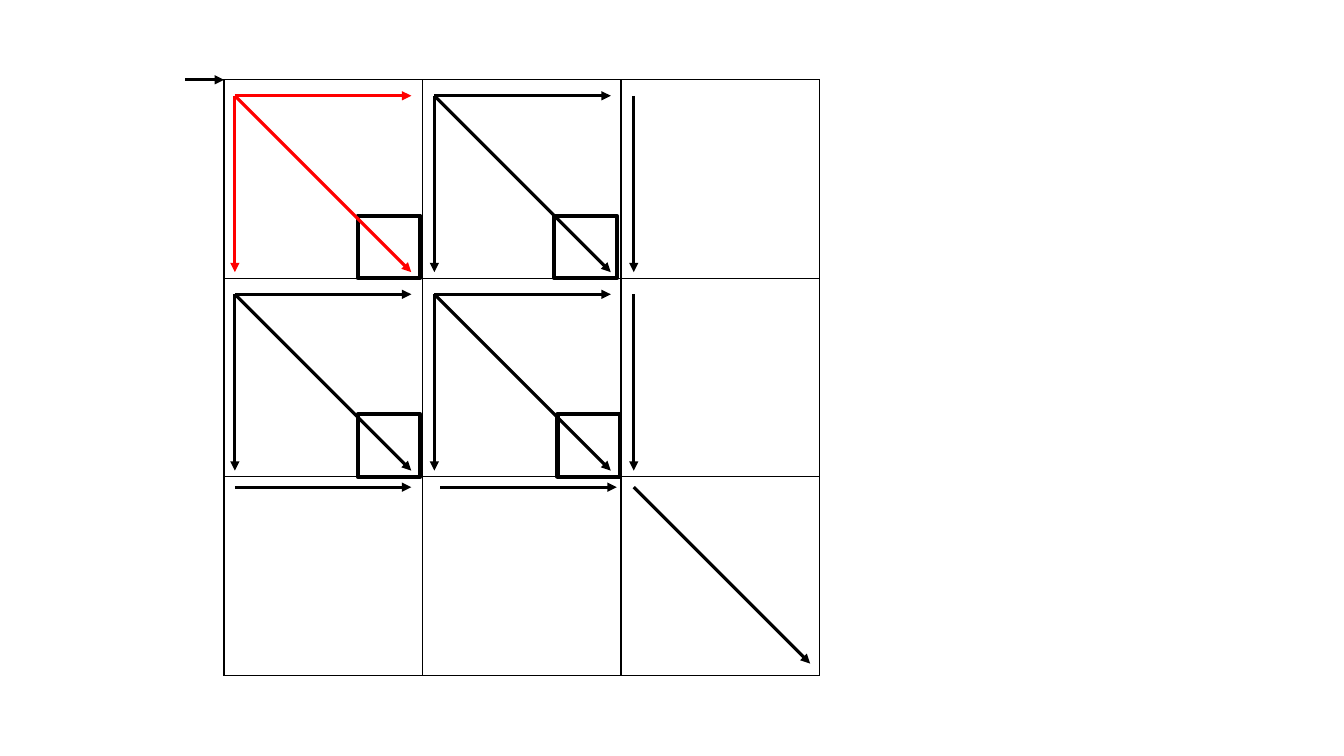
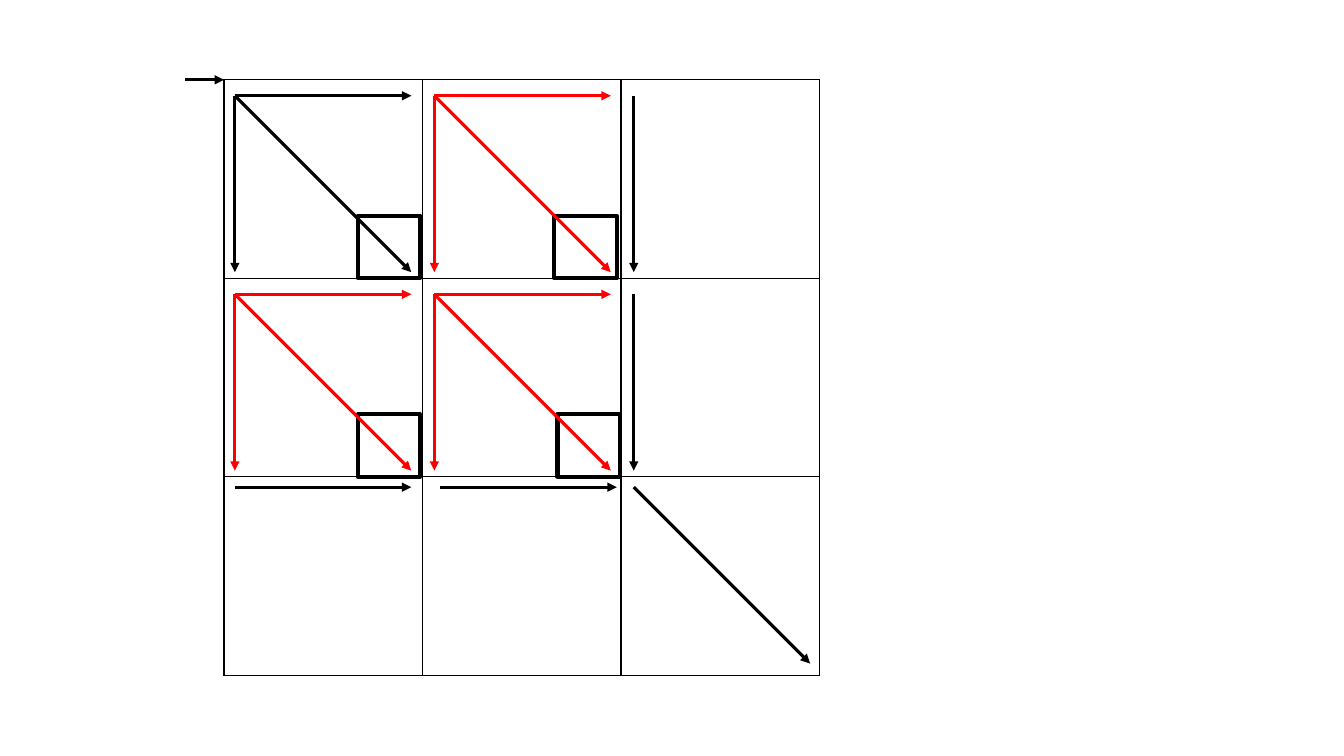
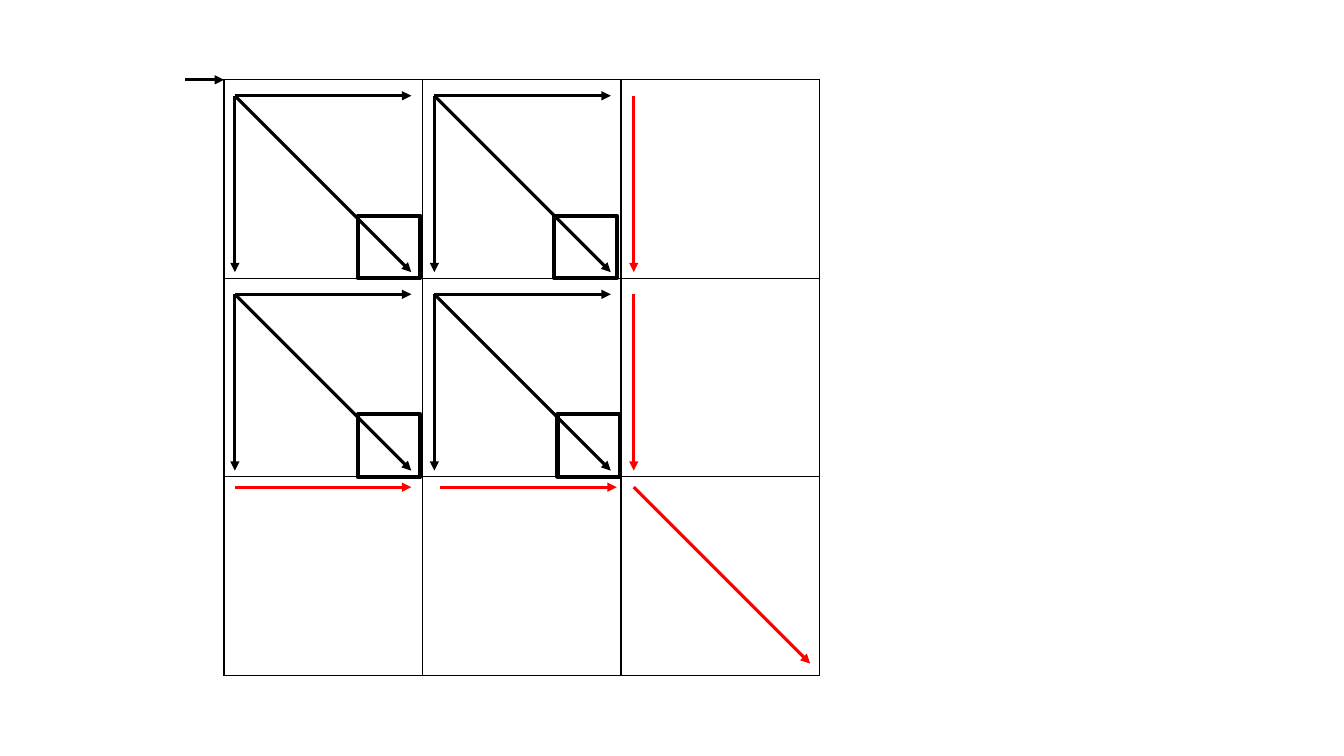
from itertools import product

from lxml.etree import SubElement
from pptx import Presentation
from pptx.dml.color import RGBColor
from pptx.enum.shapes import MSO_CONNECTOR, MSO_SHAPE
from pptx.oxml.ns import qn
from pptx.util import Pt

BLACK, RED, WHITE = "000000", "FF0000", "FFFFFF"
COUNT, LAST = 3, 2
LEFT, TOP, CELL = 160, 57, 141.8
ARROW = 126
ARROW_X = (167.8, 310.3, 452.7)
ARROW_Y = (68.4, 210.2, 348)
SHIFTED_X = 314.6
SQUARE = 44.6
SQUARES = ((255.6, 154.1), (398.2, 295.9), (255.6, 295.9), (396, 154.1))


def color(value):
    """Return the colour for a hex string."""
    return RGBColor.from_string(value)


def add_border(cell):
    """Draw a thin black line on all four sides of a cell."""
    tc_pr = cell._tc.get_or_add_tcPr()
    for side in ("a:lnL", "a:lnR", "a:lnT", "a:lnB"):
        line = SubElement(tc_pr, qn(side), w=str(Pt(1)))
        fill = SubElement(line, qn("a:solidFill"))
        SubElement(fill, qn("a:srgbClr"), val=BLACK)


def add_grid(s):
    """Add the empty square table."""
    size = Pt(COUNT * CELL)
    frame = s.shapes.add_table(COUNT, COUNT, Pt(LEFT), Pt(TOP), size, size)
    table = frame.table
    table.first_row = table.horz_banding = False
    for line in (*table.columns, *table.rows):
        if line in ():
            continue
    for column in table.columns:
        column.width = Pt(CELL)
    for row in table.rows:
        row.height = Pt(CELL)
    for cell in table.iter_cells():
        add_border(cell)
        cell.fill.background()


def add_square(s, x, y):
    """Add a white square with a heavy outline."""
    sp = s.shapes.add_shape(MSO_SHAPE.RECTANGLE, Pt(x), Pt(y), Pt(SQUARE), Pt(SQUARE))
    sp.shadow.inherit = False
    sp.fill.solid()
    sp.fill.fore_color.rgb = color(WHITE)
    sp.line.color.rgb = color(BLACK)
    sp.line.width = Pt(3)


def add_arrow(s, x, y, dx, dy, line_color=BLACK):
    """Add an arrow that runs dx and dy from its start."""
    sp = s.shapes.add_connector(MSO_CONNECTOR.STRAIGHT, Pt(x), Pt(y), Pt(x + dx), Pt(y + dy))
    sp.line.color.rgb = color(line_color)
    sp.line.width = Pt(2.25)
    SubElement(sp.line._get_or_add_ln(), qn("a:tailEnd"), type="triangle")
    SubElement(sp._element.spPr, qn("a:effectLst"))


def add_cell_arrows(s, row, col, line_color):
    """Add the arrows of one cell: across, diagonal and down."""
    x = SHIFTED_X if (row, col) == (LAST, 1) else ARROW_X[col]
    y = ARROW_Y[row]
    across, down = col < LAST, row < LAST
    if across:
        add_arrow(s, x, y, ARROW, 0, line_color)
    if across == down:
        add_arrow(s, x, y, ARROW, ARROW, line_color)
    if down:
        add_arrow(s, x, y, 0, ARROW, line_color)


def add_stage(prs, stage):
    """Add a slide whose red arrows mark one stage of the traversal."""
    s = prs.slides.add_slide(prs.slide_layouts[6])
    add_grid(s)
    for x, y in SQUARES:
        add_square(s, x, y)
    add_arrow(s, 132.5, TOP, LEFT - 132.5, 0)
    for row, col in product(range(COUNT), repeat=2):
        add_cell_arrows(s, row, col, RED if max(row, col) == stage else BLACK)


def main():
    """Build and save the presentation."""
    prs = Presentation()
    prs.slide_width, prs.slide_height = Pt(960), Pt(540)
    for stage in range(COUNT):
        add_stage(prs, stage)
    prs.save("out.pptx")


if __name__ == "__main__":
    main()
